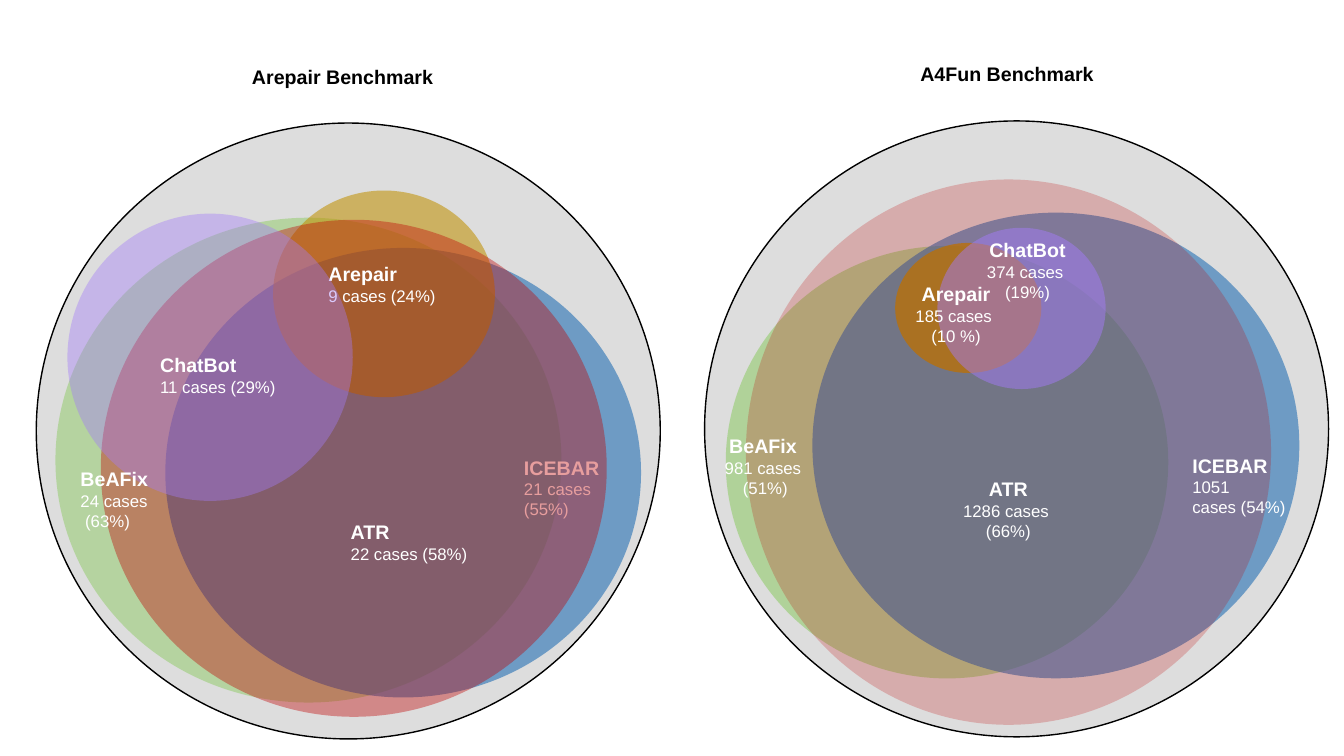
"""Build a slide with two Venn diagrams of repair cases per benchmark."""
import pptx
import pptx.dml.color
import pptx.enum.shapes
import pptx.enum.text
import pptx.oxml.ns
import pptx.util
from lxml import etree

Pt = pptx.util.Pt
FONT = "Arial"
COLORS = {"BeAFix": "A9D18E", "ICEBAR": "BF9000", "ATR": "2E75B6"}
COLORS = {
    "green": "A9D18E",
    "blue": "2E75B6",
    "gold": "BF9000",
    "red": "C00000",
    "violet": "A37BF9",
    "grey": "BFBFBF",
    "black": "000000",
    "white": "FFFFFF",
}
OUTER_SIZE = (445.7, 439.9)
HEADING_OFFSET = (147, -45.4)
HEADING_SIZE = (158.4, 24.5)

# Items run from back to front:
# ("disc", box, color, opacity percent) or ("label", box, centred, name, detail paragraphs)
PANELS = [
    {
        "heading": "Arepair Benchmark",
        "origin": (25.9, 87.9),
        "items": [
            ("disc", (39.6, 155.5, 361.4, 346.3), "green", 76),
            ("disc", (118.1, 177.1, 339.8, 321.1), "blue", 63),
            ("label", (367.2, 321.8, 158.4, 53.3), False, "ICEBAR", ["21 cases \n(55%)"]),
            ("disc", (195.1, 136.1, 158.4, 147.6), "gold", 56),
            ("disc", (72, 157, 361.4, 355), "red", 38),
            ("label", (227.5, 183.6, 158.4, 38.9), False, "Arepair", ["9 cases (24%)"]),
            ("label", (243.4, 367.9, 171.4, 38.9), False, "ATR", ["22 cases (58%)"]),
            ("disc", (48.2, 152.6, 203.8, 205.2), "violet", 40),
            ("label", (107.3, 248.4, 131, 38.9), False, "ChatBot", ["11 cases (29%)"]),
            ("label", (50.4, 329.8, 147.6, 54), False, "BeAFix", ["24 cases\n (63%)"]),
        ],
    },
    {
        "heading": "A4Fun Benchmark",
        "origin": (503.3, 86.4),
        "items": [
            ("disc", (518.4, 175.7, 316.1, 308.9), "green", 85),
            ("disc", (580.3, 151.9, 347.8, 332.6), "blue", 63),
            ("disc", (639.4, 173.5, 104.4, 92.9), "gold", 74),
            ("disc", (532.8, 128.2, 375.1, 389.5), "red", 22),
            ("disc", (669.6, 162.7, 120.2, 115.2), "violet", 49),
            ("label", (660.2, 337, 120.2, 53.3), True, "ATR", ["1286 cases ", "(66%)"]),
            ("label", (673.9, 166.3, 120.2, 53.3), True, "ChatBot", ["374 cases ", "(19%)"]),
            ("label", (630.7, 198, 104.4, 53.3), True, "Arepair", ["185 cases ", "(10 %)"]),
            ("label", (844.6, 320.4, 115.2, 53.3), False, "ICEBAR", ["1051 \ncases (54%)"]),
            ("label", (508.3, 306.7, 73.4, 54), True, "BeAFix", ["981 cases\n (51%)"]),
        ],
    },
]


def rgb(name):
    return pptx.dml.color.RGBColor.from_string(COLORS[name])


def add_disc(slide, box, color, opacity, outlined=False):
    shape = slide.shapes.add_shape(
        pptx.enum.shapes.MSO_SHAPE.OVAL, *(Pt(value) for value in box)
    )
    shape.shadow.inherit = False
    shape.fill.solid()
    shape.fill.fore_color.rgb = rgb(color)
    color_element = shape.fill._xPr.find(".//" + pptx.oxml.ns.qn("a:srgbClr"))
    alpha = etree.SubElement(color_element, pptx.oxml.ns.qn("a:alpha"))
    alpha.set("val", str(opacity * 1000))
    if outlined:
        shape.line.color.rgb = rgb("black")
        shape.line.width = Pt(1)
    else:
        shape.line.fill.background()


def add_label(slide, box, centred, name, details, color="white"):
    shape = slide.shapes.add_textbox(*(Pt(value) for value in box))
    frame = shape.text_frame
    frame.word_wrap = True
    frame.auto_size = pptx.enum.text.MSO_AUTO_SIZE.SHAPE_TO_FIT_TEXT
    for index, text in enumerate([name, *details]):
        paragraph = frame.add_paragraph() if index else frame.paragraphs[0]
        if centred:
            paragraph.alignment = pptx.enum.text.PP_ALIGN.CENTER
        for row, line in enumerate(text.split("\n")):
            if row:
                paragraph.add_line_break()
            run = paragraph.add_run()
            run.text = line
            run.font.name = FONT
            run.font.size = Pt(12 if index else 14)
            run.font.bold = index == 0
            run.font.color.rgb = rgb(color)


def add_panel(slide, panel):
    left, top = panel["origin"]
    add_disc(slide, (left, top, *OUTER_SIZE), "grey", 52, outlined=True)
    heading_box = (left + HEADING_OFFSET[0], top + HEADING_OFFSET[1], *HEADING_SIZE)
    add_label(slide, heading_box, False, panel["heading"], [], "black")
    draw = {"disc": add_disc, "label": add_label}
    for kind, *arguments in panel["items"]:
        draw[kind](slide, *arguments)


def main():
    presentation = pptx.Presentation()
    presentation.slide_width = Pt(960)
    presentation.slide_height = Pt(540)
    slide = presentation.slides.add_slide(presentation.slide_layouts[6])
    for panel in PANELS:
        add_panel(slide, panel)
    presentation.save("out.pptx")


if __name__ == "__main__":
    main()
